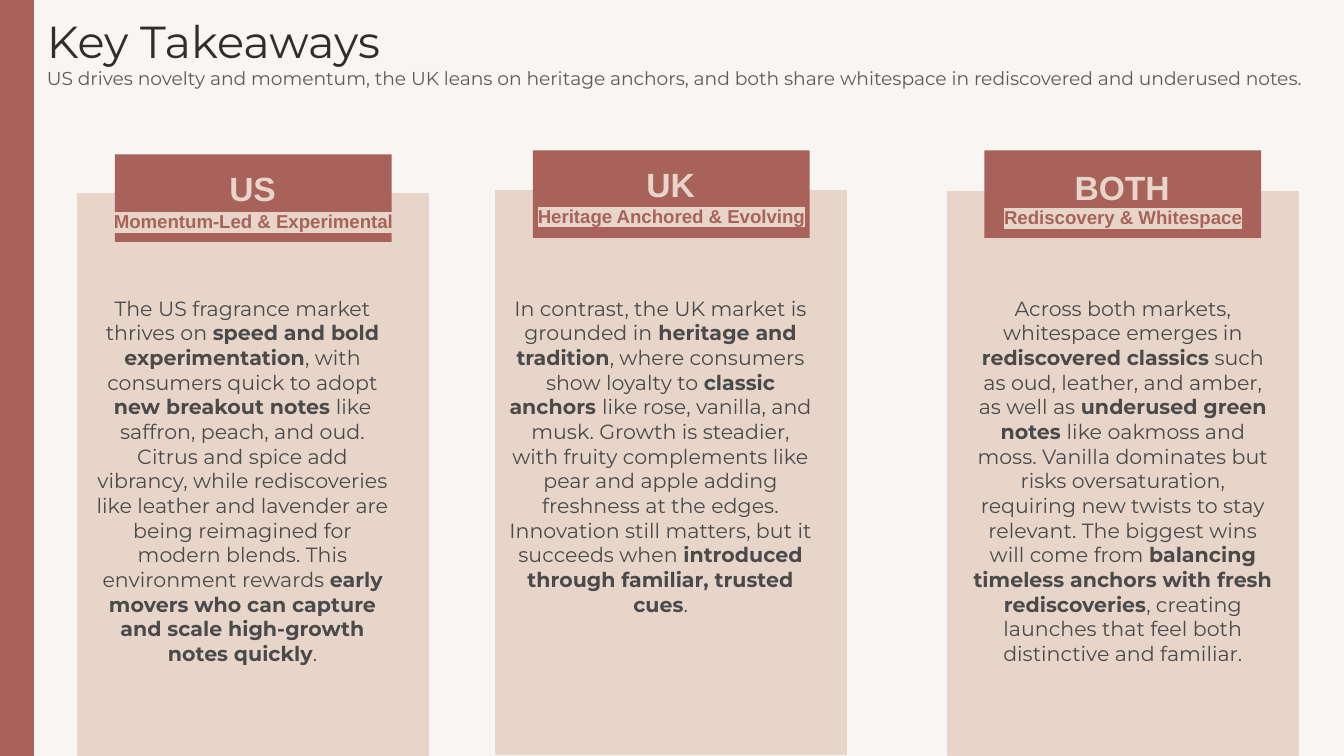
from dataclasses import dataclass

from lxml import etree
from pptx import Presentation
from pptx import util as u
from pptx.dml.color import RGBColor
from pptx.enum import shapes, text
from pptx.oxml.ns import qn

CREAM = RGBColor(0xF8, 0xF5, 0xF2)
SAND = RGBColor(0xE7, 0xD5, 0xC9)
CLAY = RGBColor(0xA8, 0x62, 0x5A)
INK = RGBColor(0x2E, 0x2E, 0x2E)
GREY = RGBColor(0x5C, 0x5C, 0x5C)
BODY_GREY = RGBColor(0x4A, 0x4A, 0x4A)

WIDTH, HEIGHT = u.Inches(10), u.Inches(5.625)


@dataclass(frozen=True)
class Area:
    """A rectangle in percent of the slide's width and height."""
    left: float
    top: float
    width: float
    height: float

    def emu(self) -> list[int]:
        return [round(share * side / 100) for share, side in
                ((self.left, WIDTH), (self.top, HEIGHT),
                 (self.width, WIDTH), (self.height, HEIGHT))]


@dataclass(frozen=True)
class Market:
    """One column; ** in the summary switches bold on and off."""
    name: str
    tagline: str
    summary: str
    left: float
    panel_top: float
    banner_top: float
    name_top: float
    tagline_top: float
    summary_left: float
    summary_height: float


MARKETS = [
    Market("US", "Momentum-Led & Experimental",
           "The US fragrance market thrives on **speed and bold experimentation**, with "
           "consumers quick to adopt **new breakout notes** like saffron, peach, and oud. "
           "Citrus and spice add vibrancy, while rediscoveries like leather and lavender "
           "are being reimagined for modern blends. This environment rewards **early "
           "movers who can capture and scale high-growth notes quickly**.",
           5.8, 25.6, 20.44, 20.44, 26.31, 5.8, 49.78),
    Market("UK", "Heritage Anchored & Evolving",
           "In contrast, the UK market is grounded in** heritage and tradition**, where "
           "consumers show loyalty to **classic anchors **like rose, vanilla, and musk. "
           "Growth is steadier, with fruity complements like pear and apple adding "
           "freshness at the edges. Innovation still matters, but it succeeds when "
           "**introduced through familiar, trusted cues**.",
           36.9, 25.24, 19.91, 19.91, 25.6, 36.9, 54.4),
    Market("BOTH", "Rediscovery & Whitespace",
           "Across both markets, whitespace emerges in **rediscovered classics** such as "
           "oud, leather, and amber, as well as **underused green notes **like oakmoss "
           "and moss. Vanilla dominates but risks oversaturation, requiring new twists to "
           "stay relevant. The biggest wins will come from **balancing timeless anchors "
           "with fresh rediscoveries**, creating launches that feel both distinctive and "
           "familiar.",
           70.5, 25.42, 19.91, 20.27, 25.78, 71.3, 51.2),
]


def add_block(slide, area: Area, fill: RGBColor, outlined: bool = True) -> None:
    block = slide.shapes.add_shape(shapes.MSO_SHAPE.RECTANGLE, *area.emu())
    block.shadow.inherit = False
    block.fill.solid()
    block.fill.fore_color.rgb = fill
    if outlined:
        block.line.color.rgb = fill
        block.line.width = u.Pt(0.75)
    else:
        block.line.fill.background()


def add_paragraph_box(slide, area: Area):
    """Add a wrapping text box and return its only paragraph."""
    frame = slide.shapes.add_textbox(*area.emu()).text_frame
    frame.word_wrap = True
    frame.margin_left = frame.margin_right = u.Inches(0.1)
    frame.margin_top = frame.margin_bottom = u.Inches(0.1)
    return frame.paragraphs[0]


def add_centred_text(slide, area: Area, content: str, font: str, size: float,
                     color: RGBColor, bold: bool = False):
    """Add centred text, with parts between ** in bold."""
    paragraph = add_paragraph_box(slide, area)
    paragraph.alignment = text.PP_ALIGN.CENTER
    paragraph.font.name = font
    paragraph.font.size = u.Pt(size)
    paragraph.font.color.rgb = color
    paragraph.font.bold = bold
    for index, part in enumerate(content.split("**")):
        run = paragraph.add_run()
        run.text = part
        if index % 2:
            run.font.bold = True
    return paragraph


def highlight(paragraph, color: RGBColor) -> None:
    for run in paragraph.runs:
        marker = etree.SubElement(run.font._element, qn("a:highlight"))
        etree.SubElement(marker, qn("a:srgbClr"), val=str(color))


def add_title(slide) -> None:
    paragraph = add_paragraph_box(slide, Area(2.5, 0, 97.5, 20))
    paragraph.font.name = "Montserrat"
    title = paragraph.add_run()
    title.text = "Key Takeaways"
    paragraph.add_line_break()
    subtitle = paragraph.add_run()
    subtitle.text = ("US drives novelty and momentum, the UK leans on heritage anchors, and "
                     "both share whitespace in rediscovered and underused notes.")
    for run, size, color in ((title, 24, INK), (subtitle, 10, GREY)):
        run.font.size = u.Pt(size)
        run.font.color.rgb = color


def add_market(slide, market: Market) -> None:
    add_block(slide, Area(market.left, market.panel_top, 26.1, 74.49), SAND)
    add_centred_text(slide, Area(market.summary_left, 37.33, 24.5, market.summary_height),
                     market.summary, "Montserrat", 11, BODY_GREY)
    add_block(slide, Area(market.left + 2.75, market.banner_top, 20.6, 11.56), CLAY,
              outlined=False)
    add_centred_text(slide, Area(market.left + 2.7, market.name_top, 20.6, 10.84),
                     market.name, "Arial", 18, SAND, bold=True)
    tagline = add_centred_text(slide, Area(market.left - 1.6, market.tagline_top, 29.3, 10.84),
                               market.tagline, "Arial", 10, CLAY, bold=True)
    highlight(tagline, SAND)


def main() -> None:
    deck = Presentation()
    deck.slide_width, deck.slide_height = WIDTH, HEIGHT
    slide = deck.slides.add_slide(deck.slide_layouts[6])
    slide.background.fill.solid()
    slide.background.fill.fore_color.rgb = CREAM
    add_block(slide, Area(0, 0, 2.5, 100), CLAY)
    add_title(slide)
    for market in MARKETS:
        add_market(slide, market)
    deck.save("out.pptx")


if __name__ == "__main__":
    main()
